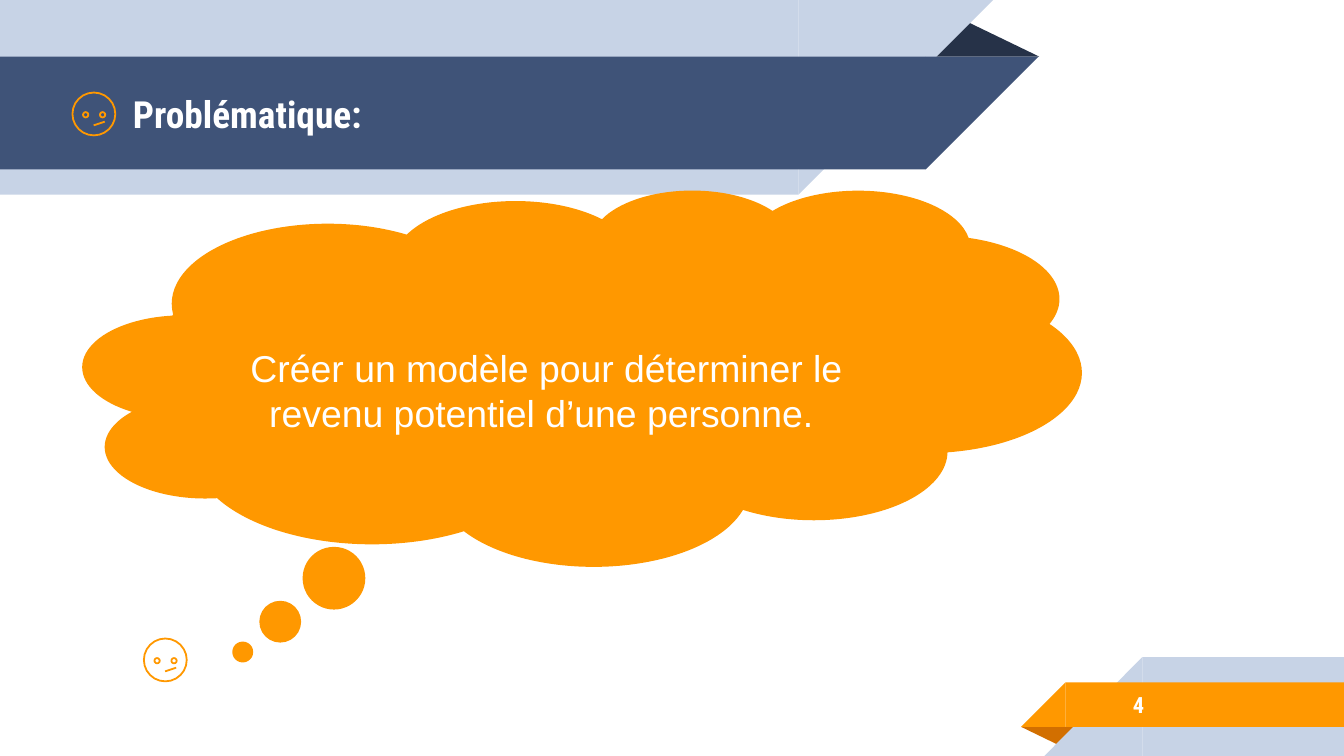
from typing import NamedTuple

from lxml.etree import SubElement
from pptx import Presentation
from pptx.dml.color import RGBColor
from pptx.enum.shapes import MSO_CONNECTOR, MSO_SHAPE
from pptx.enum.text import MSO_ANCHOR, PP_ALIGN
from pptx.oxml.ns import qn
from pptx.util import Cm, Pt

PALE, NAVY, INK = "C7D3E6", "3F5378", "263248"
ORANGE, RUST, WHITE = "FF9800", "D26F00", "FFFFFF"
HEADING, BODY = "Roboto Condensed", "Arial"
FACE_SIZE, EYE_SIZE, FACE_LINE = 0.81, 0.1, 0.96


class Part(NamedTuple):
    kind: MSO_SHAPE
    left: float
    top: float
    width: float
    height: float
    color: str
    rotation: int = 0
    flipped: bool = False
    adjustments: tuple[float, ...] = ()


class Face(NamedTuple):
    left: float
    top: float


RECT, CORNER, FOLD = MSO_SHAPE.RECTANGLE, MSO_SHAPE.RIGHT_TRIANGLE, MSO_SHAPE.ISOSCELES_TRIANGLE

RIBBONS = [
    Part(FOLD, 17.48, 0.36, 2.16, 0.71, INK, adjustments=(0.32,)),
    Part(RECT, 0, 0, 15.09, 3.68, PALE, 180, True),
    Part(CORNER, 15.09, 0, 3.68, 3.68, PALE, 180, True),
    Part(RECT, 0, 1.07, 17.5, 2.13, NAVY, 180, True),
    Part(CORNER, 17.5, 1.07, 2.13, 2.13, NAVY, 180, True),
    Part(FOLD, 19.3, 13.74, 1.09, 0.36, RUST, 180, adjustments=(0.32,)),
    Part(RECT, 21.59, 12.42, 3.81, 1.87, PALE, flipped=True),
    Part(CORNER, 19.74, 12.42, 1.85, 1.87, PALE, flipped=True),
    Part(RECT, 20.14, 12.9, 5.26, 0.84, ORANGE, flipped=True),
    Part(CORNER, 19.3, 12.9, 0.84, 0.84, ORANGE, flipped=True),
]
CLOUD = Part(MSO_SHAPE.CLOUD_CALLOUT, 1.57, 3.58, 18.87, 7.11, ORANGE, adjustments=(-0.34, 0.73))
FACES = [Face(1.37, 1.75), Face(2.72, 12.07)]


def rgb(color: str) -> RGBColor:
    return RGBColor.from_string(color)


def add_part(shapes, part: Part):
    sp = shapes.add_shape(part.kind, Cm(part.left), Cm(part.top), Cm(part.width), Cm(part.height))
    sp.shadow.inherit = False
    sp.fill.solid()
    sp.fill.fore_color.rgb = rgb(part.color)
    sp.line.fill.background()
    sp.rotation = part.rotation
    if part.flipped:
        sp.element.spPr.find(qn("a:xfrm")).set("flipH", "1")
    for i, value in enumerate(part.adjustments):
        sp.adjustments[i] = value
    return sp


def outline(line) -> None:
    line.color.rgb = rgb(ORANGE)
    line.width = Pt(FACE_LINE)


def add_ring(shapes, left: float, top: float, size: float) -> None:
    sp = shapes.add_shape(MSO_SHAPE.OVAL, Cm(left), Cm(top), Cm(size), Cm(size))
    sp.shadow.inherit = False
    sp.fill.background()
    outline(sp.line)


def add_face(shapes, face: Face) -> None:
    group = shapes.add_group_shape()
    x, y = face
    add_ring(group.shapes, x, y, FACE_SIZE)
    for eye in (0.2, 0.52):
        add_ring(group.shapes, x + eye, y + 0.37, EYE_SIZE)
    mouth = group.shapes.add_connector(
        MSO_CONNECTOR.STRAIGHT, Cm(x + 0.4), Cm(y + 0.62), Cm(x + 0.61), Cm(y + 0.55))
    outline(mouth.line)
    SubElement(mouth.element.spPr, qn("a:effectLst"))


def write(sp, text: str, size: int, font: str, bold: bool, align: PP_ALIGN,
          top: float = 0.25, bottom: float = 0.25) -> None:
    tf = sp.text_frame
    tf.word_wrap = True
    tf.vertical_anchor = MSO_ANCHOR.MIDDLE
    tf.margin_left = tf.margin_right = Cm(0.25)
    tf.margin_top, tf.margin_bottom = Cm(top), Cm(bottom)
    p = tf.paragraphs[0]
    p.alignment = align
    r = p.add_run()
    r.text = text
    r.font.size = Pt(size)
    r.font.name = font
    r.font.bold = bold
    r.font.color.rgb = rgb(WHITE)


def main() -> None:
    prs = Presentation()
    prs.slide_width, prs.slide_height = Cm(25.4), Cm(14.29)
    s = prs.slides.add_slide(prs.slide_layouts[5])
    shapes = s.shapes

    for part in RIBBONS:
        add_part(shapes, part)

    number = shapes.add_textbox(Cm(21.16), Cm(12.88), Cm(4.14), Cm(0.89))
    write(number, "4", 12, HEADING, True, PP_ALIGN.LEFT)

    title = shapes.title
    title.left, title.top, title.width, title.height = Cm(2.26), Cm(1.09), Cm(14.6), Cm(2.13)
    write(title, "Problématique:", 20, HEADING, True, PP_ALIGN.LEFT)
    number.element.addnext(title.element)

    for face in FACES:
        add_face(shapes, face)

    cloud = add_part(shapes, CLOUD)
    write(cloud, "Créer un modèle pour déterminer le revenu potentiel d’une personne. ",
          20, BODY, False, PP_ALIGN.CENTER, top=0.94, bottom=0.13)

    prs.save("out.pptx")


if __name__ == "__main__":
    main()
